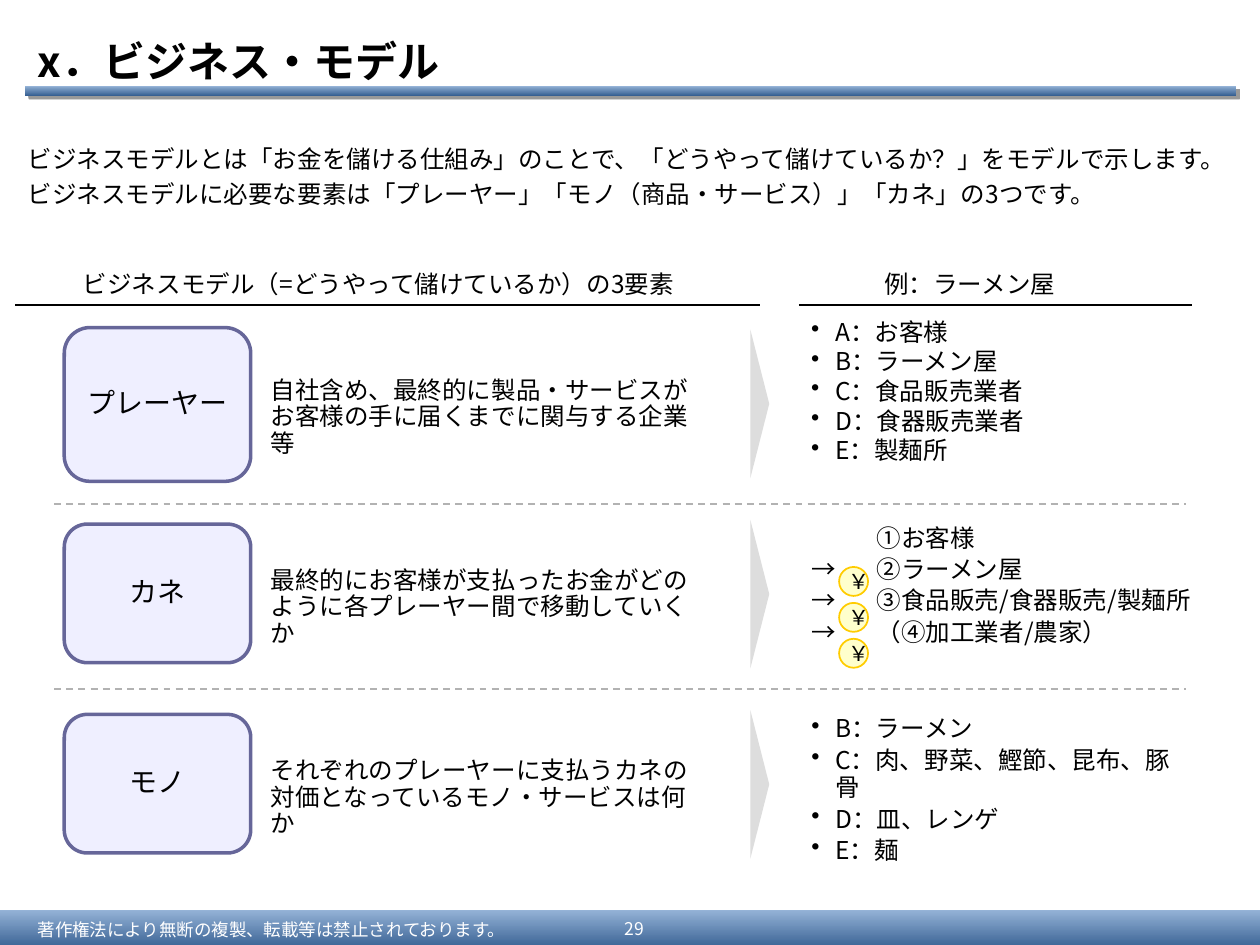
from dataclasses import dataclass

from lxml import etree
from pptx import Presentation
from pptx.dml.color import RGBColor
from pptx.enum.dml import MSO_LINE
from pptx.enum.shapes import MSO_CONNECTOR, MSO_SHAPE
from pptx.enum.text import MSO_ANCHOR, PP_ALIGN
from pptx.oxml.ns import qn
from pptx.util import Inches, Pt

RECT, ROUNDED = MSO_SHAPE.RECTANGLE, MSO_SHAPE.ROUNDED_RECTANGLE
TRIANGLE, OVAL = MSO_SHAPE.ISOSCELES_TRIANGLE, MSO_SHAPE.OVAL
STRAIGHT, DASH = MSO_CONNECTOR.STRAIGHT, MSO_LINE.DASH
TOP, MIDDLE = MSO_ANCHOR.TOP, MSO_ANCHOR.MIDDLE
LEFT, CENTER = PP_ALIGN.LEFT, PP_ALIGN.CENTER


@dataclass(frozen=True)
class Theme:
    font: str = "Noto Sans CJK JP"
    black: RGBColor = RGBColor(0, 0, 0)
    white: RGBColor = RGBColor(255, 255, 255)
    bar_dark: RGBColor = RGBColor.from_string("376092")
    bar_light: RGBColor = RGBColor.from_string("95B3D7")
    label_fill: RGBColor = RGBColor.from_string("CCCCFF")
    label_line: RGBColor = RGBColor.from_string("666699")
    coin_fill: RGBColor = RGBColor.from_string("FFFFCC")
    coin_line: RGBColor = RGBColor.from_string("FFCC00")
    arrow: RGBColor = RGBColor.from_string("DDDDDD")
    divider: RGBColor = RGBColor.from_string("B2B2B2")
    title: int = 24
    label: int = 16
    body: int = 14
    coin: int = 12
    footer: int = 10


theme = Theme()
deck = Presentation()
deck.slide_width, deck.slide_height = Inches(10), Inches(7.5)
page = deck.slides.add_slide(deck.slide_layouts[6])


def write(box, lines, size, color=theme.black, bold=False, align=LEFT, anchor=TOP,
          spacing=None, before=0, after=0, hanging=0, bullet=False):
    """Fill a box with one paragraph per line."""
    frame = box.text_frame
    frame.word_wrap = True
    frame.vertical_anchor = anchor
    frame.text = "\n".join(lines)
    for number, para in enumerate(frame.paragraphs):
        para.alignment = align
        para.line_spacing = spacing
        para.space_before = Pt(before if number else 0)
        para.space_after = Pt(after)
        if hanging:
            properties = para._p.get_or_add_pPr()
            properties.set("marL", str(Inches(hanging)))
            properties.set("indent", str(-Inches(hanging)))
            if bullet:
                etree.SubElement(properties, qn("a:buChar")).set("char", "•")
        for span in para.runs:
            span.font.name = theme.font
            span.font.size = Pt(size)
            span.font.bold = bold
            span.font.color.rgb = color
            east_asian = etree.SubElement(span._r.get_or_add_rPr(), qn("a:ea"))
            east_asian.set("typeface", theme.font)


def draw_line(left, right, top, color, width, dash=None):
    line = page.shapes.add_connector(
        STRAIGHT, Inches(left), Inches(top), Inches(right), Inches(top))
    line.line.color.rgb = color
    line.line.width = Pt(width)
    line.line.dash_style = dash
    etree.SubElement(line._element.spPr, qn("a:effectLst"))


# Gradient bars: footer and title underline
for area in ((0, 7.22, 10, 0.31), (0.2, 0.68, 9.61, 0.08)):
    bar = page.shapes.add_shape(RECT, *map(Inches, area))
    bar.fill.gradient()
    bar.fill.gradient_angle = 90
    for stop, color in zip(bar.fill.gradient_stops, (theme.bar_dark, theme.bar_light)):
        stop.color.rgb = color
    bar.line.fill.background()
    bar.shadow.inherit = False

# Drop shadow of the title underline
effects = bar._element.spPr.find(qn("a:effectLst"))
shadow = etree.SubElement(effects, qn("a:outerShdw"), dist=str(Pt(3)),
                          dir="2700000", algn="tl", rotWithShape="0")
shadow_color = etree.SubElement(shadow, qn("a:srgbClr"), val=str(theme.black))
etree.SubElement(shadow_color, qn("a:alpha"), val="40000")

# Title, introduction, column headings and footer
footer_style = dict(size=theme.footer, color=theme.white, anchor=MIDDLE)
heading_style = dict(size=theme.body, spacing=0.9, after=1.8)
texts = [
    ((0.2, 0.21, 9.8, 0.54), ["x．ビジネス・モデル"],
     dict(size=theme.title, bold=True, anchor=MIDDLE)),
    ((0.12, 1.09, 9.88, 0.69),
     ["ビジネスモデルとは「お金を儲ける仕組み」のことで、「どうやって儲けているか？」をモデルで示します。",
      "ビジネスモデルに必要な要素は「プレーヤー」「モノ（商品・サービス）」「カネ」の3つです。"],
     dict(size=theme.body, before=3.5)),
    ((0.56, 2.11, 5.14, 0.31),
     ["ビジネスモデル（=どうやって儲けているか）の3要素"], heading_style),
    ((6.92, 2.11, 1.96, 0.31), ["例：ラーメン屋"], heading_style),
    ((0.2, 7.25, 4.25, 0.25),
     ["著作権法により無断の複製、転載等は禁止されております。"], footer_style),
    ((4.76, 7.23, 0.55, 0.28), ["29"], dict(footer_style, align=CENTER)),
]
for area, lines, style in texts:
    write(page.shapes.add_textbox(*map(Inches, area)), lines, **style)

# Heading rules and row dividers
draw_line(0.12, 6.03, 2.42, theme.black, 0.75)
draw_line(6.34, 9.46, 2.42, theme.black, 0.75)
for top in (4, 5.47):
    draw_line(0.43, 9.41, top, theme.divider, 1, DASH)

# Coins beside the money flow
for number in range(3):
    coin = page.shapes.add_shape(
        OVAL, Inches(6.66), Inches(4.5 + 0.285 * number), Inches(0.23), Inches(0.23))
    coin.fill.solid()
    coin.fill.fore_color.rgb = theme.coin_fill
    coin.line.color.rgb = theme.coin_line
    coin.line.width = Pt(1)
    coin.shadow.inherit = False
    write(coin, ["￥"], theme.coin, anchor=MIDDLE)
    frame = coin.text_frame
    frame.word_wrap = False
    frame.margin_left = frame.margin_right = Inches(0.04)
    frame.margin_top = frame.margin_bottom = Inches(0.04)

# Three elements: label, description, arrow, example
bulleted = dict(hanging=0.19, bullet=True)
rows = [
    ("プレーヤー", 2.6, 1.22,
     "自社含め、最終的に製品・サービスがお客様の手に届くまでに関与する企業等",
     ["A：お客様", "B：ラーメン屋", "C：食品販売業者", "D：食器販売業者", "E：製麺所"],
     (6.34, 2.49, 2.93, 1.25), dict(bulleted, spacing=0.9)),
    ("カネ", 4.16, 1.1,
     "最終的にお客様が支払ったお金がどのように各プレーヤー間で移動していくか",
     ["\t①お客様", "→\t②ラーメン屋", "→\t③食品販売/食器販売/製麺所", "→\t（④加工業者/農家）"],
     (6.34, 4.12, 3.33, 1.28), dict(hanging=0.52, spacing=0.95)),
    ("モノ", 5.67, 1.1,
     "それぞれのプレーヤーに支払うカネの対価となっているモノ・サービスは何か",
     ["B：ラーメン", "C：肉、野菜、鰹節、昆布、豚骨", "D：皿、レンゲ", "E：麺"],
     (6.34, 5.63, 3.19, 1.28), dict(bulleted, spacing=0.95)),
]
for number, (name, top, height, description, examples, area, style) in enumerate(rows):
    offset = 1.51 * number

    label = page.shapes.add_shape(
        ROUNDED, Inches(0.51), Inches(top), Inches(1.48), Inches(height))
    label.fill.solid()
    label.fill.fore_color.rgb = theme.label_fill
    fill_color = label._element.spPr.find(qn("a:solidFill"))[0]
    etree.SubElement(fill_color, qn("a:alpha"), val="30000")
    label.line.color.rgb = theme.label_line
    label.line.width = Pt(2)
    label.shadow.inherit = False
    write(label, [name], theme.label, align=CENTER, anchor=MIDDLE, spacing=0.9, after=2)

    box = page.shapes.add_textbox(
        Inches(2.05), Inches(2.95 + offset), Inches(3.67), Inches(0.73))
    write(box, [description], theme.body, spacing=0.9, after=1.8)

    arrow = page.shapes.add_shape(
        TRIANGLE, Inches(5.44), Inches(3.13 + offset), Inches(1.18), Inches(0.15))
    arrow.rotation = 90
    arrow.fill.solid()
    arrow.fill.fore_color.rgb = theme.arrow
    arrow.line.fill.background()
    arrow.shadow.inherit = False

    box = page.shapes.add_textbox(*map(Inches, area))
    write(box, examples, theme.body, after=1.8, **style)

deck.save("out.pptx")
